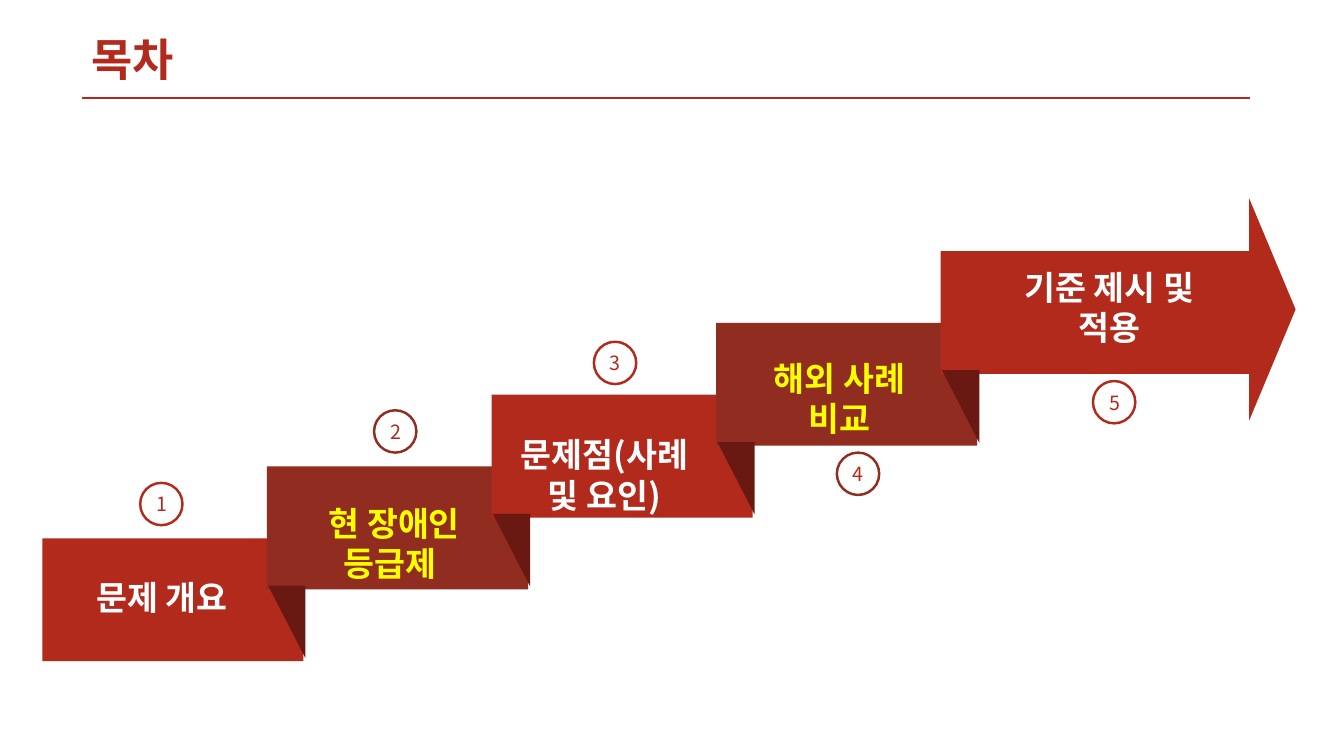
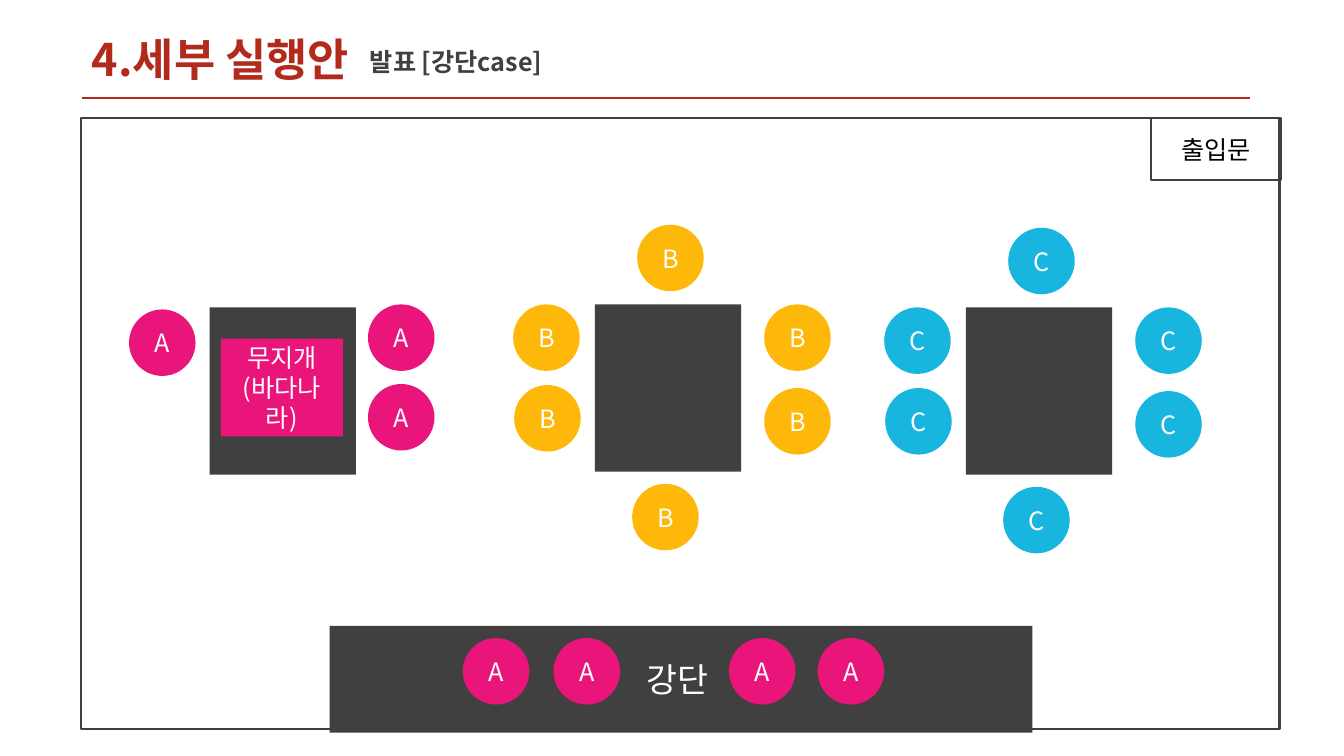
from lxml import etree
from pptx import Presentation
from pptx.dml.color import RGBColor
from pptx.enum.shapes import MSO_CONNECTOR, MSO_SHAPE
from pptx.enum.text import MSO_ANCHOR, MSO_AUTO_SIZE, PP_ALIGN
from pptx.oxml.ns import qn
from pptx.util import Inches, Pt

RED = RGBColor(0xB1, 0x2A, 0x1C)
BRICK = RGBColor(0x90, 0x2D, 0x20)
MAROON = RGBColor(0x69, 0x19, 0x11)
YELLOW = RGBColor(0xFF, 0xFF, 0x00)
WHITE = RGBColor(0xFF, 0xFF, 0xFF)
BLACK = RGBColor(0x00, 0x00, 0x00)
CHARCOAL = RGBColor(0x40, 0x40, 0x40)
PINK = RGBColor(0xEA, 0x15, 0x7A)
AMBER = RGBColor(0xFE, 0xB8, 0x0A)
CYAN = RGBColor(0x18, 0xB5, 0xDF)
FONT = "Noto Sans CJK KR"

RECT, OVAL = MSO_SHAPE.RECTANGLE, MSO_SHAPE.OVAL
ARROW_TIP, FOLD = MSO_SHAPE.ISOSCELES_TRIANGLE, MSO_SHAPE.RIGHT_TRIANGLE
STRAIGHT = MSO_CONNECTOR.STRAIGHT
LEFT, CENTER = PP_ALIGN.LEFT, PP_ALIGN.CENTER
TOP, MIDDLE = MSO_ANCHOR.TOP, MSO_ANCHOR.MIDDLE
FIXED = MSO_AUTO_SIZE.NONE


def write(frame, lines, size, color, bold=False, align=CENTER, anchor=TOP):
    """Fill a text frame with one paragraph per line, all in one style."""
    frame.word_wrap = True
    frame.auto_size = FIXED
    frame.vertical_anchor = anchor
    for index, line in enumerate(lines):
        paragraph = frame.add_paragraph() if index else frame.paragraphs[0]
        paragraph.alignment = align
        run = paragraph.add_run()
        run.text = line
        run.font.size = Pt(size)
        run.font.bold = bold
        run.font.name = FONT
        run.font.color.rgb = color
        etree.SubElement(run.font._element, qn("a:ea"), typeface=FONT)


def draw(slide, kind, box, fill=None, line=None, weight=1.5, turn=0):
    """Add a flat preset shape; box is left, top, width, height in inches."""
    shape = slide.shapes.add_shape(kind, *map(Inches, box))
    shape.shadow.inherit = False
    shape.rotation = turn
    if fill is None:
        shape.fill.background()
    else:
        shape.fill.solid()
        shape.fill.fore_color.rgb = fill
    if line is None:
        shape.line.fill.background()
    else:
        shape.line.color.rgb = line
        shape.line.width = Pt(weight)
    return shape


deck = Presentation()
deck.slide_width, deck.slide_height = Inches(13.33), Inches(7.5)
title_only = deck.slide_layouts[5]

# Shared heading: red title above a thin red rule
for heading in ("목차", "4.세부 실행안"):
    slide = deck.slides.add_slide(title_only)
    title = slide.shapes.title
    title.left, title.top = Inches(0.81), Inches(0.26)
    title.width, title.height = Inches(6.56), Inches(0.64)
    write(title.text_frame, [heading], 32, RED, bold=True, align=LEFT)
    rule = slide.shapes.add_connector(
        STRAIGHT, Inches(0.81), Inches(0.97), Inches(12.4), Inches(0.97))
    rule.line.color.rgb = RED
    rule.line.width = Pt(1.75)
    etree.SubElement(rule._element.spPr, qn("a:effectLst"))
contents, seating = deck.slides

# Contents: a staircase of ribbons that ends in an arrow
STEP_X, STEP_Y = 2.2275, 0.7125
STEP_W, STEP_H = 2.59, 1.22
BADGE = 0.42
# label, label box, badge corner
chapters = [
    ("문제 개요", (0.61, 5.67, 1.99, 0.5), (1.39, 4.79)),
    ("현 장애인 등급제 ", (2.68, 4.94, 2.46, 1.31), (3.71, 4.07)),
    ("문제점(사례 및 요인)", (4.88, 4.26, 2.23, 0.91), (5.89, 3.39)),
    ("해외 사례 비교", (7.33, 3.5, 1.99, 0.91), (8.3, 4.49)),
    ("기준 제시 및 적용", (9.84, 2.6, 2.32, 0.91), (10.84, 3.78)),
]
last = len(chapters) - 1
for step in range(len(chapters)):
    width = 3.15 if step == last else STEP_W
    draw(contents, RECT,
         (0.42 + step * STEP_X, 5.34 - step * STEP_Y, width, STEP_H),
         BRICK if step % 2 else RED)
draw(contents, ARROW_TIP, (11.52, 2.84, 2.2, 0.46), RED, turn=90)
for step in range(last):
    draw(contents, FOLD,
         (2.66 + step * STEP_X, 5.81 - step * STEP_Y, 0.37, 0.72),
         MAROON, turn=180)
for step, (label, label_box, corner) in enumerate(chapters):
    caption = contents.shapes.add_textbox(*map(Inches, label_box))
    write(caption.text_frame, [label], 24, YELLOW if step % 2 else WHITE, bold=True)
    badge = draw(contents, OVAL, (*corner, BADGE, BADGE), WHITE,
                 BRICK if step % 2 else RED, 1.75)
    write(badge.text_frame, [str(step + 1)], 14, RED, anchor=MIDDLE)

# Seating plan: room, stage, three tables and the people around them
subtitle = seating.shapes.add_textbox(*map(Inches, (3.57, 0.41, 3.36, 0.4)))
write(subtitle.text_frame, ["발표 [강단case]"], 18, CHARCOAL, bold=True, align=LEFT)

stage = draw(seating, RECT, (3.27, 6.21, 6.97, 1.06), CHARCOAL)
write(stage.text_frame, ["강단 "], 24, WHITE, anchor=MIDDLE)
door = draw(seating, RECT, (11.42, 1.17, 1.28, 0.62), line=CHARCOAL)
write(door.text_frame, ["출입문"], 18, BLACK, anchor=MIDDLE)
draw(seating, RECT, (0.8, 1.17, 11.89, 6.06), line=CHARCOAL)

SEAT = 0.66
# Seat corners measured from the corner of the table
around = [(0.42, -0.79), (-0.81, 0), (-0.8, 0.8),
          (1.68, 0), (1.68, 0.83), (0.37, 1.78)]
beside = [(-0.8, 0.02), (1.57, -0.03), (1.57, 0.76)]
on_stage = [(left - 2.08, 3.28) for left in (4.59, 5.49, 7.23, 8.11)]
teams = [
    ("A", PINK, 2.08, 3.05, beside + on_stage),
    ("B", AMBER, 5.9, 3.02, around),
    ("C", CYAN, 9.58, 3.05, around),
]
for team, color, left, top, seats in teams:
    draw(seating, RECT, (left, top, 1.45, 1.66), CHARCOAL)
    for across, down in seats:
        seat = draw(seating, OVAL, (left + across, top + down, SEAT, SEAT), color)
        write(seat.text_frame, [team], 18, WHITE, anchor=MIDDLE)

topic = draw(seating, RECT, (2.19, 3.36, 1.21, 0.97), PINK)
write(topic.text_frame, ["무지개", "(바다나라)"], 18, WHITE, anchor=MIDDLE)

deck.save("out.pptx")
